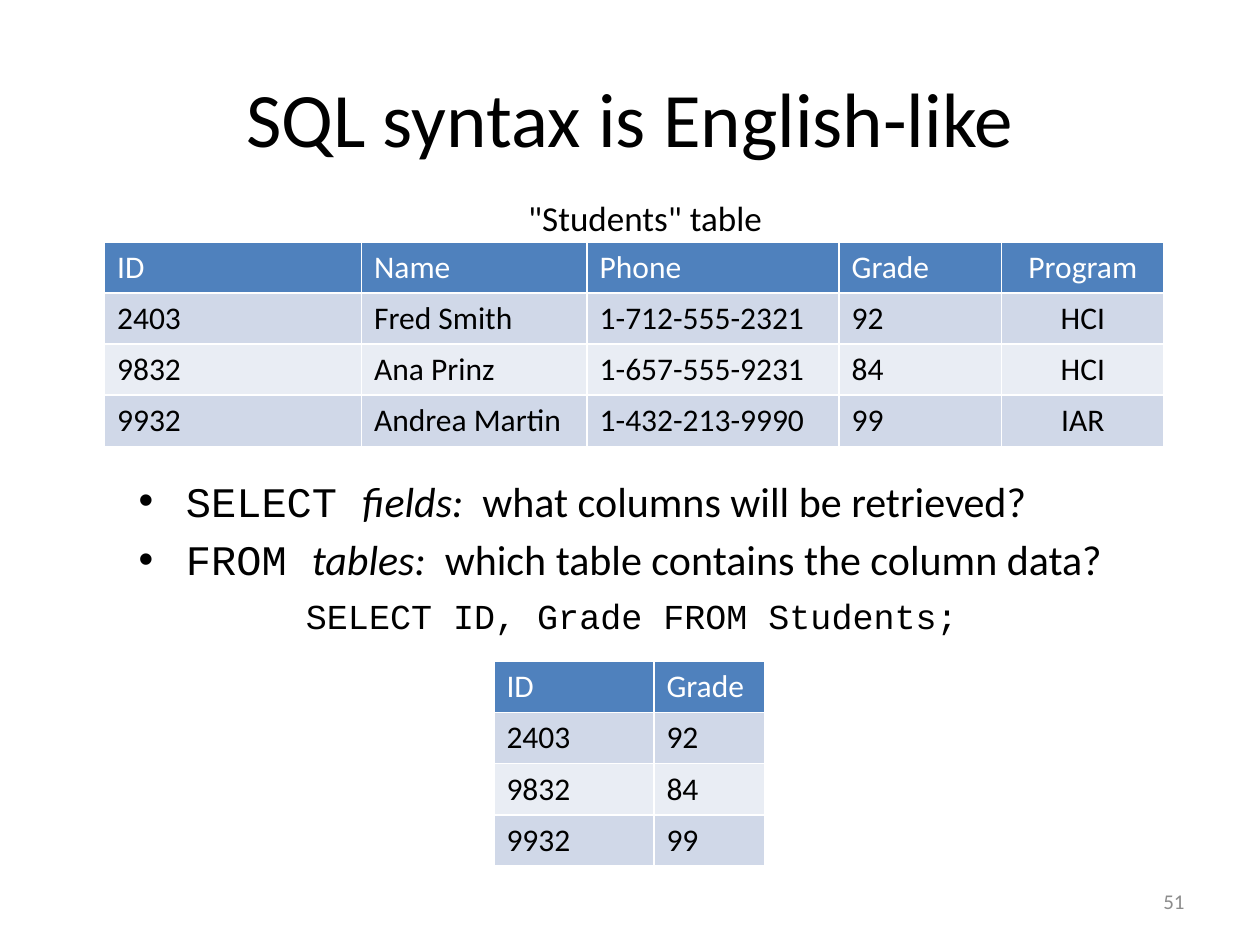
from dataclasses import dataclass

import pptx
import pptx.dml.color
import pptx.enum.text
import pptx.util

Inches = pptx.util.Inches
Pt = pptx.util.Pt
RGBColor = pptx.dml.color.RGBColor
Align = pptx.enum.text.PP_ALIGN
Anchor = pptx.enum.text.MSO_ANCHOR

BLACK = RGBColor(0x00, 0x00, 0x00)
WHITE = RGBColor(0xFF, 0xFF, 0xFF)
GRAY = RGBColor(0x8C, 0x8C, 0x8C)
HEADER_BLUE = RGBColor(0x4F, 0x81, 0xBD)
BAND_DARK = RGBColor(0xD0, 0xD8, 0xE8)
BAND_LIGHT = RGBColor(0xE9, 0xED, 0xF4)

TEXT_FONT = "Calibri"
CODE_FONT = "Courier New"
TABLE_HEIGHT = 1.62


@dataclass(frozen=True)
class Box:
    left: float
    top: float
    width: float
    height: float


@dataclass(frozen=True)
class Label:
    text: str
    box: Box
    size: int
    font: str = TEXT_FONT
    color: RGBColor = BLACK
    align: Align = Align.LEFT
    anchor: Anchor = Anchor.TOP


@dataclass(frozen=True)
class Clause:
    keyword: str
    argument: str
    question: str


@dataclass(frozen=True)
class DataTable:
    left: float
    top: float
    widths: tuple[float, ...]
    rows: tuple[tuple[str, ...], ...]
    centered_columns: tuple[int, ...] = ()


STUDENTS = (
    ("ID", "Name", "Phone", "Grade", "Program"),
    ("2403", "Fred Smith", "1-712-555-2321", "92", "HCI"),
    ("9832", "Ana Prinz", "1-657-555-9231", "84", "HCI"),
    ("9932", "Andrea Martin", "1-432-213-9990", "99", "IAR"),
)
# The query result keeps only the ID and Grade columns.
QUERY_RESULT = tuple((row[0], row[3]) for row in STUDENTS)

TABLES = (
    DataTable(0.83, 1.92, (2.04, 1.79, 2, 1.29, 1.29), STUDENTS, (4,)),
    DataTable(3.92, 5.25, (1.27, 0.88), QUERY_RESULT),
)
LABELS = (
    Label('"Students" table', Box(2.33, 1.51, 5.58, 0.58), 20, align=Align.CENTER),
    Label("SELECT ID, Grade FROM Students;", Box(2.33, 4.67, 5.58, 0.58), 20,
          font=CODE_FONT),
    Label("51", Box(7.17, 6.95, 2.33, 0.4), 12, color=GRAY, align=Align.RIGHT,
          anchor=Anchor.MIDDLE),
)
CLAUSES = (
    Clause("SELECT ", "fields:  ", "what columns will be retrieved?"),
    Clause("FROM ", "tables:  ", "which table contains the column data?"),
)


def place(shape, box: Box) -> None:
    shape.left, shape.top = Inches(box.left), Inches(box.top)
    shape.width, shape.height = Inches(box.width), Inches(box.height)


def style_run(run, size: int, font: str = TEXT_FONT, color: RGBColor = BLACK) -> None:
    run.font.size = Pt(size)
    run.font.name = font
    run.font.color.rgb = color


def fill_title(title, text: str) -> None:
    place(title, Box(0.5, 0.3, 9, 1.25))
    title.text_frame.text = text
    style_run(title.text_frame.paragraphs[0].runs[0], 44)


def fill_clauses(body, clauses: tuple[Clause, ...]) -> None:
    place(body, Box(1, 1.58, 8.5, 5))
    frame = body.text_frame
    frame.margin_top = Inches(2.19)  # starts the list below the students table
    frame.text = "\n".join(c.keyword for c in clauses)
    for paragraph, clause in zip(frame.paragraphs, clauses):
        style_run(paragraph.runs[0], 24, CODE_FONT)
        for text, italic in ((clause.argument, True), (clause.question, False)):
            run = paragraph.add_run()
            run.text = text
            style_run(run, 24)
            run.font.italic = italic


def add_label(slide, label: Label) -> None:
    text_box = slide.shapes.add_textbox(0, 0, 0, 0)
    place(text_box, label.box)
    frame = text_box.text_frame
    frame.word_wrap = True
    frame.vertical_anchor = label.anchor
    frame.text = label.text
    paragraph = frame.paragraphs[0]
    paragraph.alignment = label.align
    style_run(paragraph.runs[0], label.size, label.font, label.color)


def add_data_table(slide, data: DataTable) -> None:
    """Add a banded table; its white grid comes from the default table style."""
    table = slide.shapes.add_table(
        len(data.rows), len(data.widths), Inches(data.left), Inches(data.top),
        Inches(sum(data.widths)), Inches(TABLE_HEIGHT)).table
    for column, width in zip(table.columns, data.widths):
        column.width = Inches(width)
    for r, row in enumerate(data.rows):
        is_header = r == 0
        band = HEADER_BLUE if is_header else (BAND_LIGHT, BAND_DARK)[r % 2]
        for c, text in enumerate(row):
            cell = table.cell(r, c)
            cell.fill.solid()
            cell.fill.fore_color.rgb = band
            cell.text_frame.text = text
            paragraph = cell.text_frame.paragraphs[0]
            if c in data.centered_columns:
                paragraph.alignment = Align.CENTER
            run = paragraph.runs[0]
            style_run(run, 18, color=WHITE if is_header else BLACK)
            run.font.bold = False


def main() -> None:
    deck = pptx.Presentation()
    deck.slide_width, deck.slide_height = Inches(10), Inches(7.5)
    slide = deck.slides.add_slide(deck.slide_layouts.get_by_name("Title and Content"))
    fill_title(slide.shapes.title, "SQL syntax is English-like")
    fill_clauses(slide.placeholders[1], CLAUSES)
    for data in TABLES:
        add_data_table(slide, data)
    for label in LABELS:
        add_label(slide, label)
    deck.save("out.pptx")


if __name__ == "__main__":
    main()
